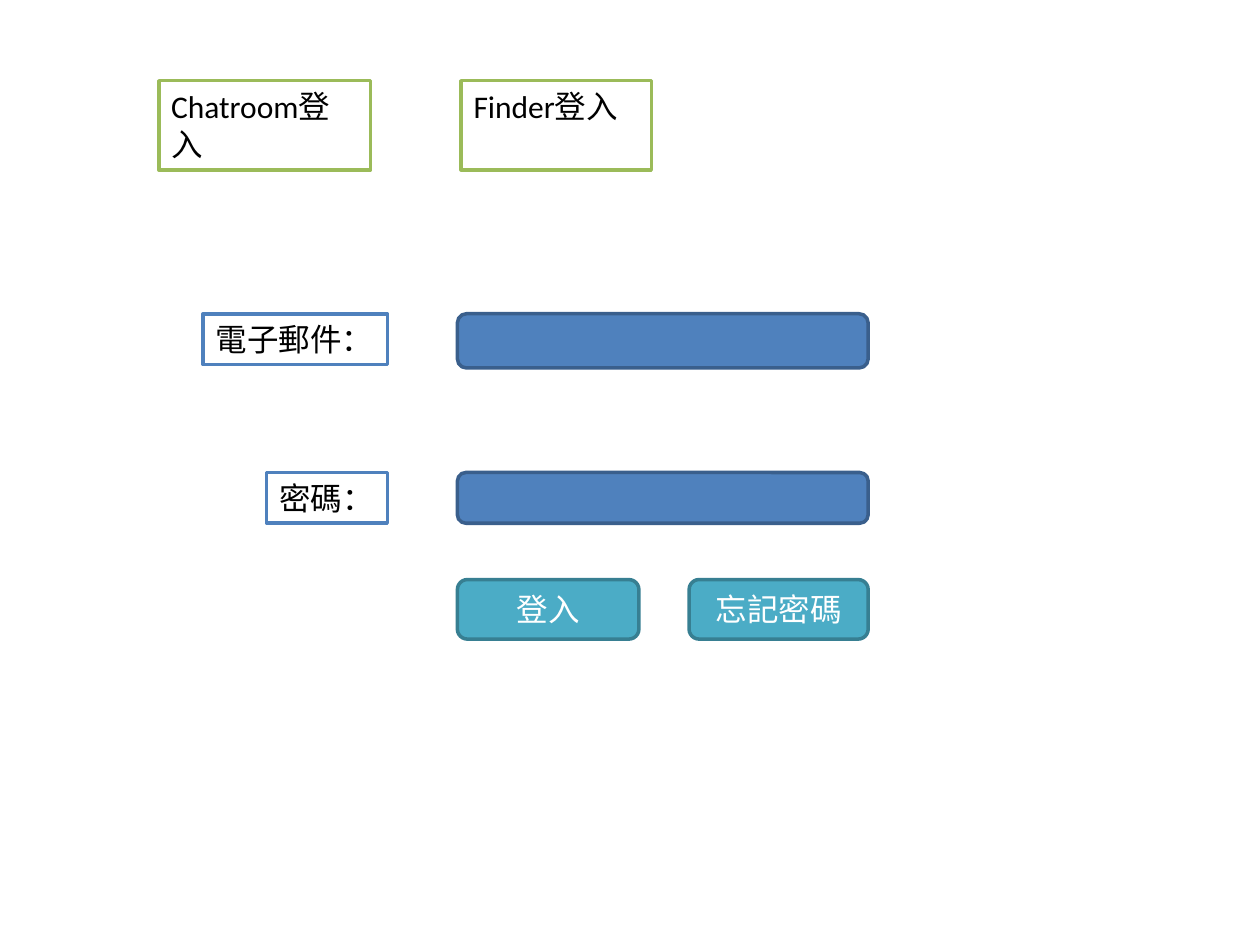
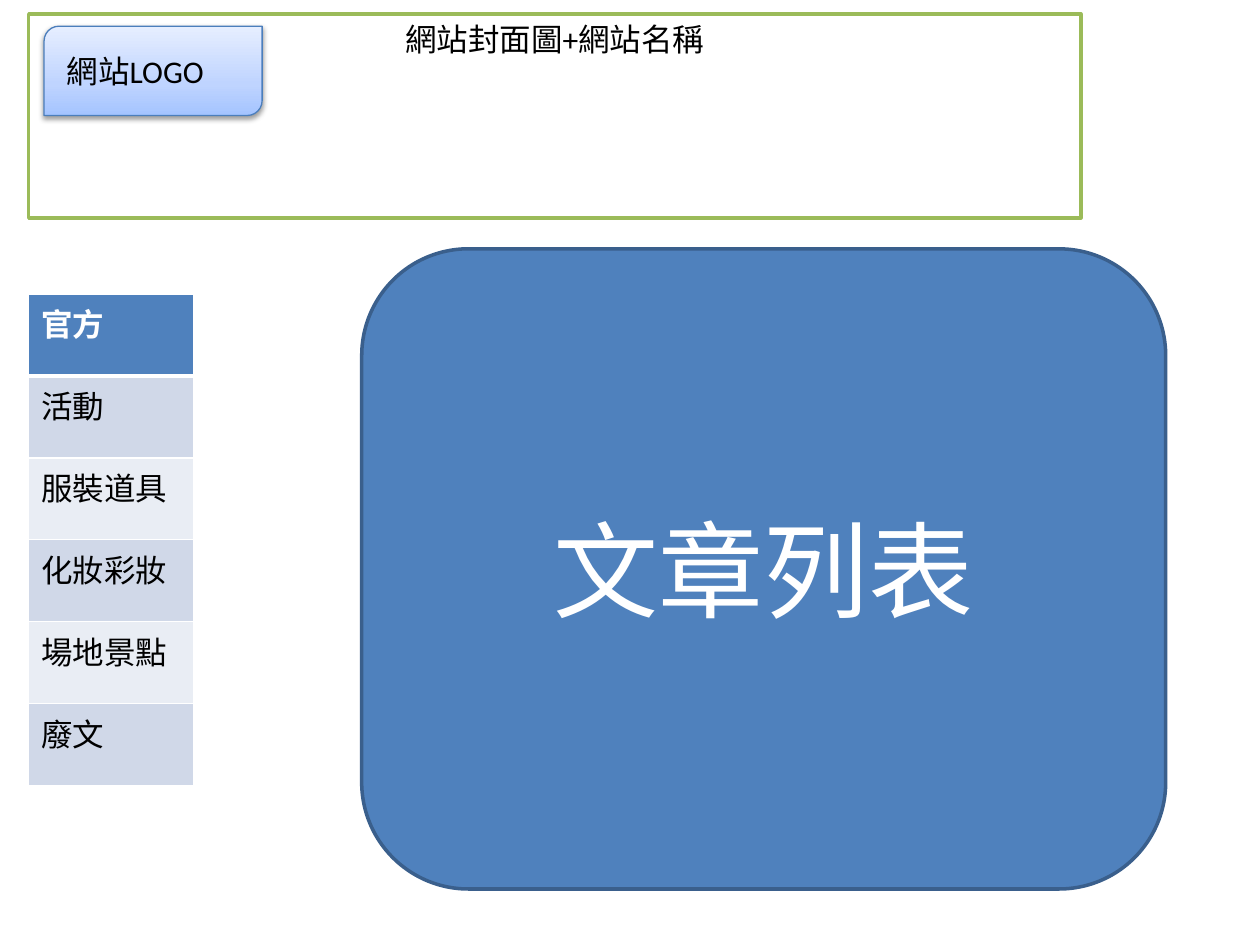
from pptx import Presentation
from pptx.dml.color import RGBColor
from pptx.enum.shapes import MSO_SHAPE
from pptx.enum.text import MSO_ANCHOR, PP_ALIGN
from pptx.oxml import parse_xml
from pptx.oxml.ns import nsdecls, qn
from pptx.util import Pt

COLORS = {
    "white": "FFFFFF", "black": "000000", "green": "9BBB59",
    "blue": "4F81BD", "blue_edge": "3A5F8C",
    "teal": "4BACC6", "teal_edge": "377F92", "logo_edge": "4B7EBC",
    "logo_dark": "A4C4FF", "logo_mid": "BFD4FF", "logo_light": "E6EEFF",
    "band_dark": "D0D8E8", "band_light": "E9EDF4",
}


def rgb(name):
    return RGBColor.from_string(COLORS[name])


def color_xml(name, inner=""):
    return f'<a:srgbClr val="{COLORS[name]}">{inner}</a:srgbClr>'


def write(tf, text, size=18, color="black", bold=False,
          align=PP_ALIGN.LEFT, anchor=MSO_ANCHOR.TOP):
    tf.word_wrap = True
    tf.vertical_anchor = anchor
    p = tf.paragraphs[0]
    p.alignment = align
    r = p.add_run()
    r.text = text
    r.font.name = "Calibri"
    r.font.size = Pt(size)
    r.font.bold = bold
    r.font.color.rgb = rgb(color)


class Wireframe:
    def __init__(self, prs):
        self.prs = prs
        self.s = None

    def new_slide(self):
        self.s = self.prs.slides.add_slide(self.prs.slide_layouts[6])

    def shape(self, kind, box, fill, line, width=2):
        sp = self.s.shapes.add_shape(kind, *map(Pt, box))
        sp.shadow.inherit = False
        if fill:
            sp.fill.solid()
            sp.fill.fore_color.rgb = rgb(fill)
        sp.line.color.rgb = rgb(line)
        sp.line.width = Pt(width)
        return sp

    def frame(self, box, text, line, **fmt):
        sp = self.shape(MSO_SHAPE.RECTANGLE, box, "white", line)
        write(sp.text_frame, text, **fmt)

    def button(self, box, text="", color="blue", size=18):
        sp = self.shape(MSO_SHAPE.ROUNDED_RECTANGLE, box, color, color + "_edge")
        if text:
            write(sp.text_frame, text, size=size, color="white",
                  align=PP_ALIGN.CENTER, anchor=MSO_ANCHOR.MIDDLE)

    def label(self, box, text):
        tb = self.s.shapes.add_textbox(*map(Pt, box))
        write(tb.text_frame, text)

    def logo_plate(self, box):
        sp = self.shape(MSO_SHAPE.ROUND_2_DIAG_RECTANGLE, box, None, "logo_edge", 0.75)
        sp.fill.gradient()
        sp.fill.gradient_angle = 90
        props = sp._element.spPr
        stops = props.find(qn("a:gradFill")).find(qn("a:gsLst"))
        for stop in list(stops):
            stops.remove(stop)
        for pos, name in ((0, "logo_dark"), (35, "logo_mid"), (100, "logo_light")):
            stops.append(parse_xml(
                f'<a:gs {nsdecls("a")} pos="{pos * 1000}">{color_xml(name)}</a:gs>'))
        alpha = '<a:alpha val="38000"/>'
        props.find(qn("a:effectLst")).append(parse_xml(
            f'<a:outerShdw {nsdecls("a")} blurRad="{Pt(3.1)}" dist="{Pt(1.6)}" '
            f'dir="5400000" rotWithShape="0">{color_xml("black", alpha)}</a:outerShdw>'))

    def borders(self, cell, bottom):
        widths = {"lnL": 1, "lnR": 1, "lnT": 1, "lnB": bottom}
        props = cell._tc.get_or_add_tcPr()
        for i, (tag, width) in enumerate(widths.items()):
            props.insert(i, parse_xml(
                f'<a:{tag} {nsdecls("a")} w="{Pt(width)}"><a:solidFill>'
                f'{color_xml("white")}</a:solidFill></a:{tag}>'))

    def menu(self, box, items):
        table = self.s.shapes.add_table(len(items), 1, *map(Pt, box)).table
        for i, item in enumerate(items):
            header = i == 0
            cell = table.cell(i, 0)
            cell.fill.solid()
            cell.fill.fore_color.rgb = rgb(
                "blue" if header else "band_dark" if i % 2 else "band_light")
            write(cell.text_frame, item, bold=header,
                  color="white" if header else "black")
            self.borders(cell, bottom=3 if header else 1)


prs = Presentation()
prs.slide_width, prs.slide_height = Pt(720), Pt(540)
w = Wireframe(prs)

# Login page: sign-in services
w.new_slide()
w.frame((90.7, 46.1, 121, 51), "Chatroom登入", "green")
w.frame((263.5, 46.1, 108.7, 51), "Finder登入", "green")

# Login page: labelled fields, labels share a right edge
LABEL_RIGHT, FIELD_LEFT, FIELD_WIDTH = 221.4, 261.4, 234.7
for text, top, label_width, height in (("電子郵件：", 179.3, 105.3, 31),
                                       ("密碼：", 270, 69, 29)):
    w.frame((LABEL_RIGHT - label_width, top, label_width, 29), text, "blue")
    w.button((FIELD_LEFT, top, FIELD_WIDTH, height))

# Login page: buttons
w.button((FIELD_LEFT, 331.2, 103.7, 34), "登入", "teal")
w.button((393.8, 331.2, 102.3, 34), "忘記密碼", "teal")

# Home page: cover and logo
w.new_slide()
w.frame((16.4, 8, 601.2, 116.6), "網站封面圖+網站名稱", "green",
        align=PP_ALIGN.CENTER)
w.logo_plate((25.2, 15, 124.6, 51))
w.label((31, 26, 130.3, 29), "網站LOGO")

# Home page: menu and article list
w.menu((16.4, 168, 94.3, 280.8),
       ["官方", "活動", "服裝道具", "化妝彩妝", "場地景點", "廢文"])
w.button((206.7, 142.2, 459.4, 365.8), "文章列表", size=60)

prs.save("out.pptx")
